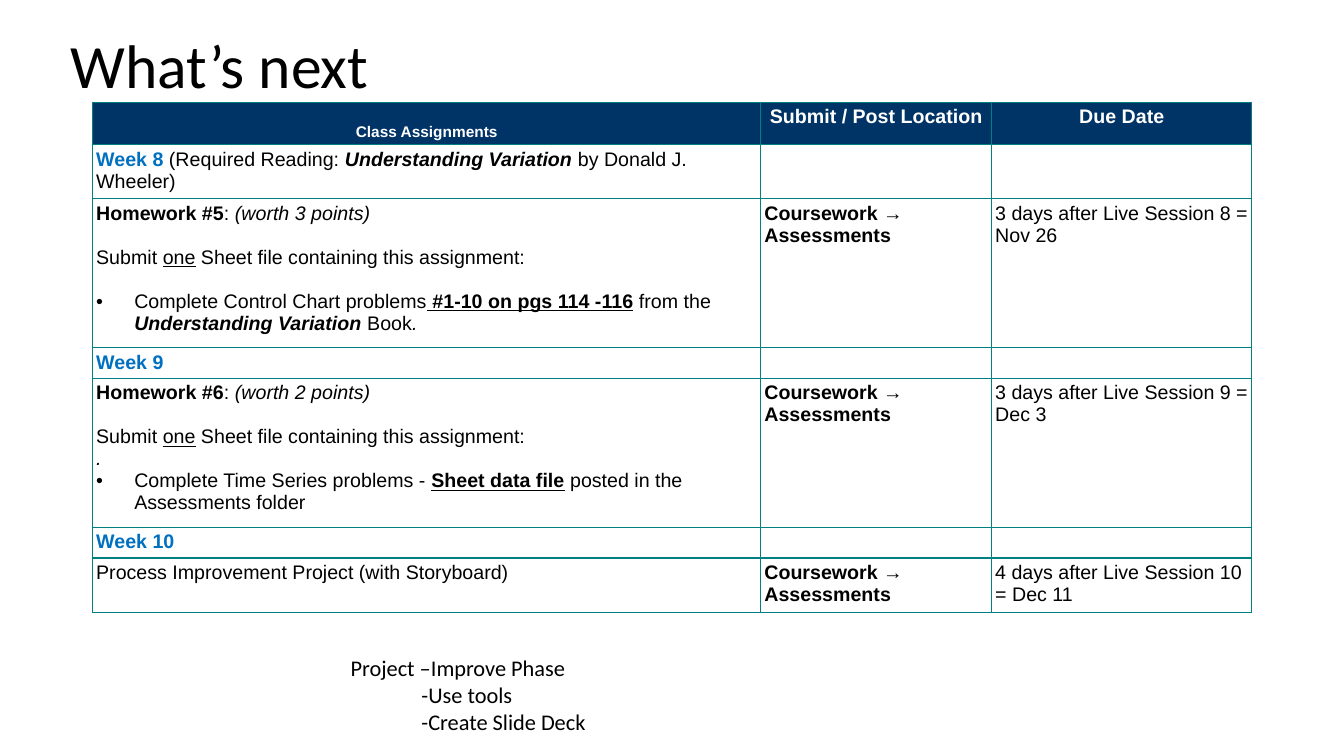
from lxml import etree
from pptx import Presentation
from pptx.dml.color import RGBColor
from pptx.enum.text import MSO_ANCHOR, PP_ALIGN
from pptx.oxml.ns import qn
from pptx.util import Pt

TOP, MIDDLE, BOTTOM = MSO_ANCHOR.TOP, MSO_ANCHOR.MIDDLE, MSO_ANCHOR.BOTTOM
LEFT, CENTER = PP_ALIGN.LEFT, PP_ALIGN.CENTER
COLORS = {"text": "000000", "white": "FFFFFF", "week": "0070C0",
          "header": "003366", "border": "008080"}
COLUMNS = (477.3, 164.9, 185.8)
BODY_ROWS = (38.4, 106.4, 22, 106.2, 22, 38.4)
CELL_MARGIN = 2.5
BLANK_LINE = 15.7
HANGING = 27.2


def color(name):
    return RGBColor.from_string(COLORS[name])


def add_runs(p, runs, font="Arial", size=14, fill="text"):
    """Each run is (text, style); style holds b, i, u, or w for a week label."""
    for text, style in runs:
        r = p.add_run()
        r.text = text
        r.font.name = font
        r.font.size = Pt(size)
        r.font.bold = "b" in style
        r.font.italic = "i" in style
        r.font.underline = "u" in style
        r.font.color.rgb = color("week" if "w" in style else fill)


def set_indent(p, left, first=0, bullet=None):
    pPr = p._p.get_or_add_pPr()
    pPr.set("marL", str(Pt(left)))
    pPr.set("indent", str(Pt(first)))
    if bullet:
        etree.SubElement(pPr, qn("a:buFont")).set("typeface", "Arial")
        etree.SubElement(pPr, qn("a:buChar")).set("char", bullet)


def set_borders(cell):
    tcPr = cell._tc.get_or_add_tcPr()
    for i, side in enumerate(("a:lnL", "a:lnR", "a:lnT", "a:lnB")):
        ln = etree.Element(qn(side), w=str(Pt(1)))
        fill = etree.SubElement(ln, qn("a:solidFill"))
        etree.SubElement(fill, qn("a:srgbClr")).set("val", COLORS["border"])
        tcPr.insert(i, ln)


def add_grid(slide, x, y, heights):
    """Add a bordered table with the assignment columns and return it."""
    table = slide.shapes.add_table(len(heights), len(COLUMNS), Pt(x), Pt(y),
                                   Pt(sum(COLUMNS)), Pt(sum(heights))).table
    table.first_row = table.horz_banding = False
    for column, width in zip(table.columns, COLUMNS):
        column.width = Pt(width)
    for row, height in zip(table.rows, heights):
        row.height = Pt(height)
    for cell in table.iter_cells():
        cell.margin_left = cell.margin_right = Pt(CELL_MARGIN)
        cell.margin_top = cell.margin_bottom = Pt(CELL_MARGIN)
        cell.fill.background()
        set_borders(cell)
    return table


def add_header(slide, x, y):
    table = add_grid(slide, x, y, [30])
    headings = (("Class Assignments", 11, BOTTOM),
                ("Submit / Post Location", 14, TOP), ("Due Date", 14, TOP))
    for cell, (text, size, anchor) in zip(table.iter_cells(), headings):
        cell.fill.solid()
        cell.fill.fore_color.rgb = color("header")
        cell.vertical_anchor = anchor
        p = cell.text_frame.paragraphs[0]
        p.alignment = CENTER
        add_runs(p, [(text, "b")], size=size, fill="white")


def homework(number, points, task, stray=None):
    """Return the paragraphs of a homework cell as (runs, gap before, bullet)."""
    paragraphs = [
        ([(f"Homework #{number}", "b"), (": ", ""),
          (f"(worth {points} points)", "i")], 0, None),
        ([("Submit ", ""), ("one", "u"),
          (" Sheet file containing this assignment:", "")], BLANK_LINE, None)]
    if stray:
        paragraphs.append(([(stray, "i")], 0, None))
    paragraphs.append((task, 0 if stray else BLANK_LINE, "•"))
    return paragraphs


def plain(*runs):
    return [(runs, 0, None)]


def assignment_rows():
    location = plain(("Coursework → Assessments", "b"))
    control_charts = [("Complete Control Chart problems", ""),
                      (" #1-10 on pgs 114 -116", "bu"), (" from the ", ""),
                      ("Understanding Variation ", "bi"), ("Book", ""), (".", "i")]
    time_series = [("Complete Time Series problems - ", ""),
                   ("Sheet data file", "bu"),
                   (" posted in the Assessments folder", "")]
    return [
        [plain(("Week 8", "bw"), (" (Required Reading: ", ""),
               ("Understanding Variation", "bi"),
               (" by Donald J. Wheeler)", "")), None, None],
        [homework(5, 3, control_charts), location,
         plain(("3 days after Live Session 8 = Nov 26", ""))],
        [plain(("Week 9", "bw")), None, None],
        [homework(6, 2, time_series, "."), location,
         plain(("3 days after Live Session 9 = Dec 3", ""))],
        [plain(("Week 10", "bw")), None, None],
        [plain(("Process Improvement Project (with Storyboard)", "")), location,
         plain(("4 days after Live Session 10 = Dec 11", ""))],
    ]


def fill_cell(cell, paragraphs):
    tf = cell.text_frame
    if not paragraphs:  # keeps an empty cell from stretching its row
        etree.SubElement(tf.paragraphs[0]._p, qn("a:endParaRPr")).set("sz", "1400")
        return
    for i, (runs, gap, bullet) in enumerate(paragraphs):
        p = tf.add_paragraph() if i else tf.paragraphs[0]
        p.alignment = LEFT
        if gap:
            p.space_before = Pt(gap)
        if bullet:
            set_indent(p, HANGING, -HANGING, bullet)
        add_runs(p, runs)


def add_assignments(slide, x, y):
    table = add_grid(slide, x, y, BODY_ROWS)
    for row, contents in zip(table.rows, assignment_rows()):
        for cell, paragraphs in zip(row.cells, contents):
            fill_cell(cell, paragraphs)


def add_text(slide, x, y, w, h, lines, size, anchor=TOP):
    """Add a text box; each line is (text, left indent)."""
    tf = slide.shapes.add_textbox(Pt(x), Pt(y), Pt(w), Pt(h)).text_frame
    tf.word_wrap = True
    tf.vertical_anchor = anchor
    for i, (text, indent) in enumerate(lines):
        p = tf.add_paragraph() if i else tf.paragraphs[0]
        if indent:
            set_indent(p, indent)
        add_runs(p, [(text, "")], "Calibri", size)
    return tf


def add_title(slide, x, y, w, h):
    tf = add_text(slide, x, y, w, h, [("What’s next", 0)], 44, MIDDLE)
    tf.paragraphs[0].line_spacing = 0.9


def add_project_note(slide, x, y, w, h):
    lines = [("Project –Improve Phase", 0), ("-Use tools", 50.6),
             ("-Create Slide Deck", 50.6)]
    add_text(slide, x, y, w, h, lines, 16)


def main():
    prs = Presentation()
    prs.slide_width, prs.slide_height = Pt(960), Pt(540)
    slide = prs.slides.add_slide(prs.slide_layouts[6])
    add_title(slide, 43.2, -3.6, 828, 104.4)
    add_project_note(slide, 243.4, 463.7, 244, 67.7)
    add_header(slide, 66.2, 73)
    add_assignments(slide, 66.2, 103.4)
    prs.save("out.pptx")


if __name__ == "__main__":
    main()
